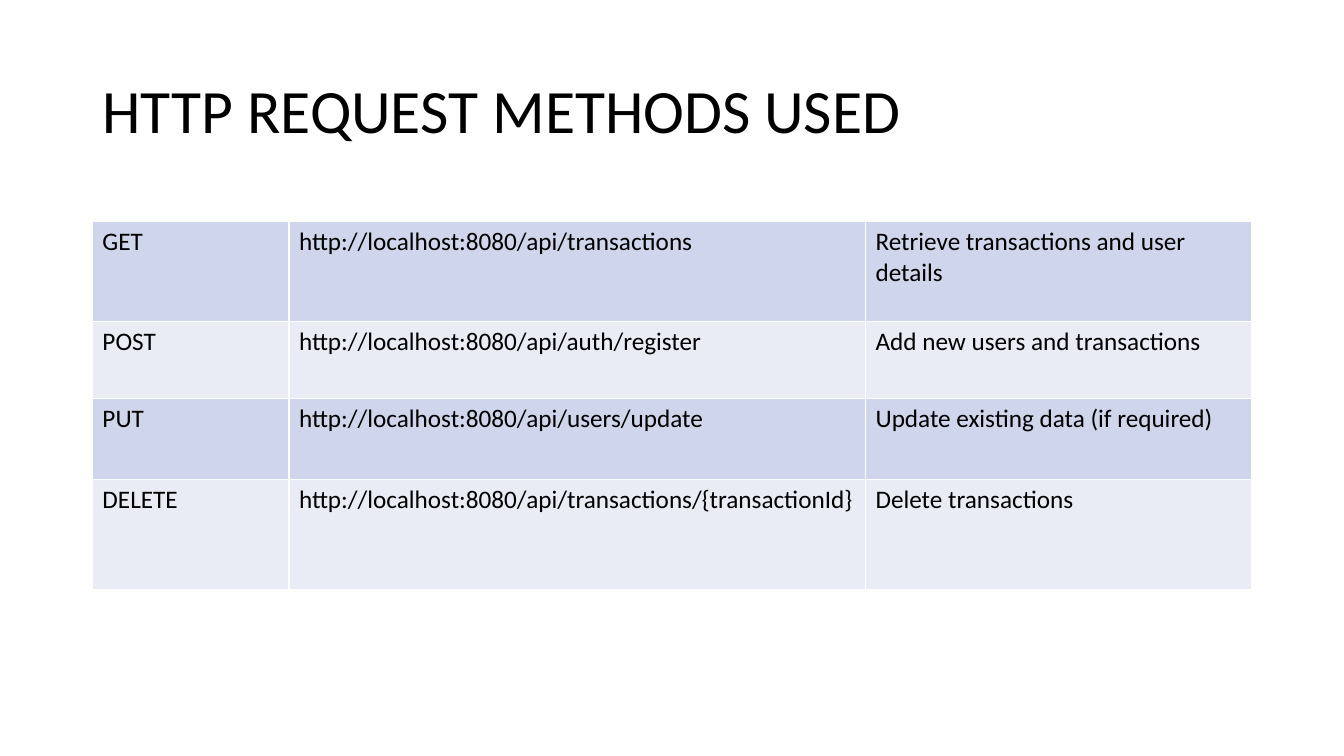
from lxml import etree
from pptx import Presentation
from pptx import util as u
from pptx.dml import color
from pptx.enum import text
from pptx.oxml import ns

COLUMNS, ROWS = 160, 90
BANDS = ("CFD5EA", "E9EBF5")
BASE = "http://localhost:8080/api/"
REQUESTS = [
    ("GET", BASE + "transactions", "Retrieve transactions and user details"),
    ("POST", BASE + "auth/register", "Add new users and transactions"),
    ("PUT", BASE + "users/update", "Update existing data (if required)"),
    ("DELETE", BASE + "transactions/{transactionId}", "Delete transactions"),
]
COLUMN_SPANS = (23.4, 68.64, 45.96)
ROW_SPANS = (11.88, 9.12, 9.72, 13.08)


def rgb(value):
    return color.RGBColor.from_string(value)


class SlideBuilder:
    """Holds the style and the current slide, and places elements on a grid."""

    font_name = "Calibri"
    ink = "000000"
    rule = "FFFFFF"

    def __init__(self, presentation):
        self.column = presentation.slide_width / COLUMNS
        self.row = presentation.slide_height / ROWS
        self.slide = presentation.slides.add_slide(presentation.slide_layouts[5])

    def across(self, columns):
        return u.Emu(round(columns * self.column))

    def down(self, rows):
        return u.Emu(round(rows * self.row))

    def style(self, paragraph, size):
        paragraph.alignment = text.PP_ALIGN.LEFT
        paragraph.font.name = self.font_name
        paragraph.font.size = u.Pt(size)
        paragraph.font.color.rgb = rgb(self.ink)

    def title(self, wording, left, top, width, height):
        shape = self.slide.shapes.title
        shape.left, shape.top = self.across(left), self.down(top)
        shape.width, shape.height = self.across(width), self.down(height)
        frame = shape.text_frame
        frame.text = wording
        frame.vertical_anchor = text.MSO_ANCHOR.MIDDLE
        paragraph = frame.paragraphs[0]
        paragraph.line_spacing = 0.9
        self.style(paragraph, 44)

    def borders(self, cell):
        properties = cell._tc.get_or_add_tcPr()
        for side in ("lnL", "lnR", "lnT", "lnB"):
            line = etree.SubElement(properties, ns.qn("a:" + side), w=str(u.Pt(1)))
            fill = etree.SubElement(line, ns.qn("a:solidFill"))
            etree.SubElement(fill, ns.qn("a:srgbClr"), val=self.rule)

    def table(self, records, left, top, column_spans, row_spans):
        table = self.slide.shapes.add_table(
            len(records), len(column_spans), self.across(left), self.down(top),
            self.across(sum(column_spans)), self.down(sum(row_spans))).table
        table.first_row = False
        for column, span in zip(table.columns, column_spans):
            column.width = self.across(span)
        for index, (row, span, record) in enumerate(zip(table.rows, row_spans, records)):
            row.height = self.down(span)
            for cell, wording in zip(row.cells, record):
                cell.text = wording
                self.style(cell.text_frame.paragraphs[0], 18)
                self.borders(cell)
                cell.fill.solid()
                cell.fill.fore_color.rgb = rgb(BANDS[index % 2])


def main():
    presentation = Presentation()
    presentation.slide_width, presentation.slide_height = u.Inches(13.33), u.Inches(7.5)
    builder = SlideBuilder(presentation)
    builder.title("HTTP REQUEST METHODS USED", 11, 4.8, 138, 17.4)
    builder.table(REQUESTS, 11, 26.4, COLUMN_SPANS, ROW_SPANS)
    presentation.save("out.pptx")


if __name__ == "__main__":
    main()
